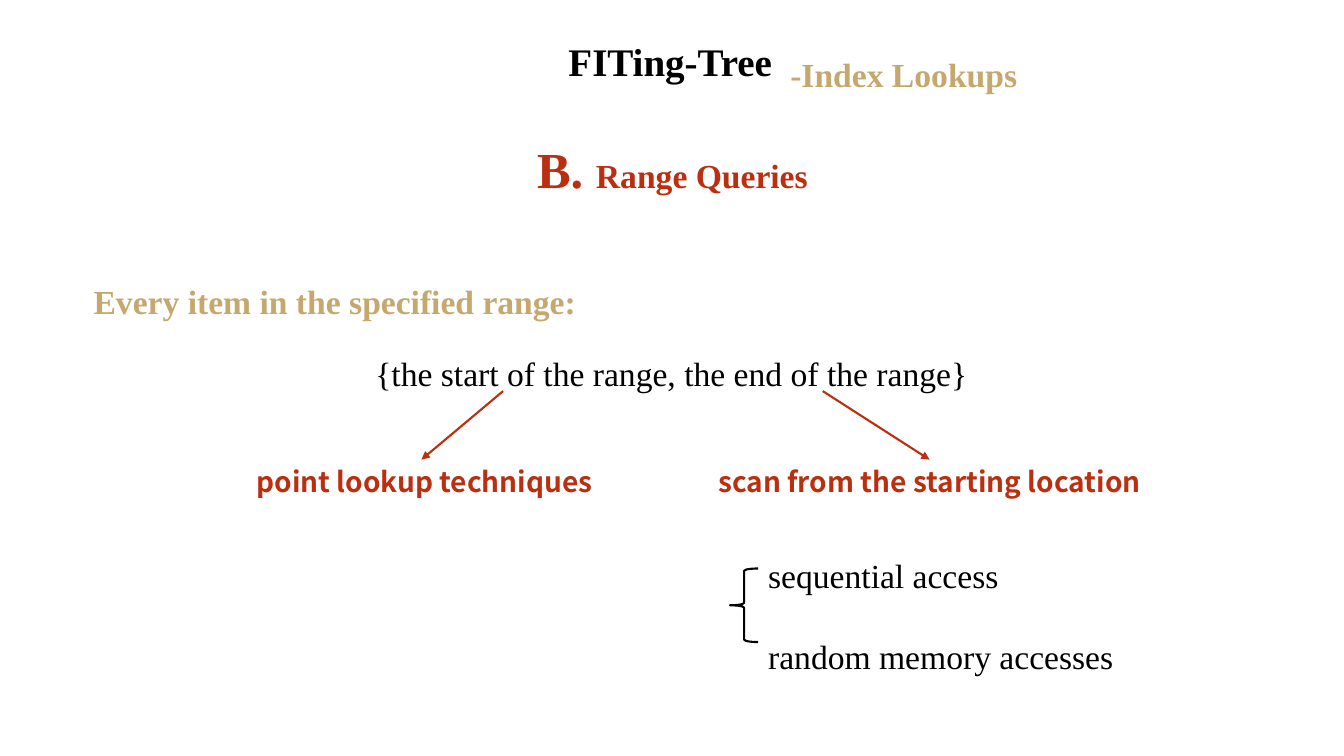
from dataclasses import dataclass

from lxml import etree
from pptx import Presentation
from pptx.dml.color import RGBColor
from pptx.enum.shapes import MSO_CONNECTOR, MSO_SHAPE
from pptx.enum.text import MSO_ANCHOR, MSO_AUTO_SIZE, PP_ALIGN
from pptx.oxml.ns import qn
from pptx.util import Inches, Pt

JUSTIFY = PP_ALIGN.JUSTIFY
CENTER = PP_ALIGN.CENTER
TOP = MSO_ANCHOR.TOP
FIT_TEXT = MSO_AUTO_SIZE.SHAPE_TO_FIT_TEXT
NO_FIT = MSO_AUTO_SIZE.NONE
STRAIGHT = MSO_CONNECTOR.STRAIGHT
LEFT_BRACE = MSO_SHAPE.LEFT_BRACE

SERIF = "Times New Roman"
SANS = "Noto Sans CJK SC"
BLACK = "000000"
GOLD = "C5A86D"
RED = "BA2F10"
LINE_WIDTH = 1.5
TOP_SIDE = 0


@dataclass(frozen=True)
class Box:
    left: float
    top: float
    width: float
    height: float

    def lengths(self):
        return [Inches(n) for n in (self.left, self.top, self.width, self.height)]


@dataclass(frozen=True)
class Technique:
    text: str
    box: Box
    arrow_start: float


RANGE_BOX = Box(3.48, 3.25, 6.36, 0.63)
TECHNIQUES = [
    Technique(" point lookup techniques", Box(2.3, 4.56, 3.76, 0.44), 4.99),
    Technique("scan from the starting location", Box(6.87, 4.56, 4.7, 0.44), 8.16),
]


def color(value: str) -> RGBColor:
    return RGBColor.from_string(value)


def add_run(paragraph, text: str, *, size: float, font: str, fill: str, bold: bool):
    run = paragraph.add_run()
    run.text = text
    run.font.size = Pt(size)
    run.font.name = font
    run.font.bold = bold
    run.font.color.rgb = color(fill)
    properties = run.font._element
    east_asian = etree.SubElement(properties, qn("a:ea"))
    east_asian.set("typeface", font)


def add_text(slide, box: Box, text: str, *, size: float = 24, font: str = SERIF,
             fill: str = BLACK, bold: bool = False, align=JUSTIFY,
             spacing: float = 1.0, auto_size=FIT_TEXT):
    shape = slide.shapes.add_textbox(*box.lengths())
    frame = shape.text_frame
    frame.word_wrap = True
    frame.auto_size = auto_size
    frame.vertical_anchor = TOP
    for index, line in enumerate(text.split("\n")):
        paragraph = frame.add_paragraph() if index else frame.paragraphs[0]
        paragraph.alignment = align
        paragraph.line_spacing = spacing
        add_run(paragraph, line, size=size, font=font, fill=fill, bold=bold)
    return shape


def add_arrow(slide, start_left: float, start_top: float, target):
    arrow = slide.shapes.add_connector(
        STRAIGHT, Inches(start_left), Inches(start_top), target.left, target.top)
    arrow.end_connect(target, TOP_SIDE)
    arrow.line.color.rgb = color(RED)
    arrow.line.width = Pt(LINE_WIDTH)
    line = arrow.line._get_or_add_ln()
    etree.SubElement(line, qn("a:tailEnd")).set("type", "triangle")
    etree.SubElement(arrow._element.spPr, qn("a:effectLst"))


def add_brace(slide, box: Box):
    brace = slide.shapes.add_shape(LEFT_BRACE, *box.lengths())
    brace.shadow.inherit = False
    brace.fill.background()
    brace.line.color.rgb = color(BLACK)
    brace.line.width = Pt(LINE_WIDTH)


def main():
    presentation = Presentation()
    presentation.slide_width = Inches(13.33)
    presentation.slide_height = Inches(7.5)
    slide = presentation.slides.add_slide(presentation.slide_layouts[6])

    add_text(slide, Box(5.54, 0.45, 2.26, 0.81), "FITing-Tree", size=27.9,
             bold=True, spacing=0.7, auto_size=NO_FIT)
    add_text(slide, Box(7.74, 0.53, 3.5, 0.54), "-Index Lookups", fill=GOLD,
             bold=True, spacing=0.9, auto_size=NO_FIT)

    heading = add_text(slide, Box(2.9, 1.32, 7.54, 0.71), "B. ", size=36,
                       fill=RED, bold=True, align=CENTER)
    add_run(heading.text_frame.paragraphs[0], "Range Queries", size=24,
            font=SERIF, fill=RED, bold=True)

    add_text(slide, Box(0.83, 2.74, 6.97, 0.5),
             "Every item in the specified range:", fill=GOLD, bold=True)
    add_text(slide, RANGE_BOX, "{the start of the range, the end of the range}",
             align=CENTER, spacing=1.5)

    for technique in TECHNIQUES:
        label = add_text(slide, technique.box, technique.text, size=20, font=SANS,
                         fill=RED, bold=True, align=CENTER)
        add_arrow(slide, technique.arrow_start, RANGE_BOX.top + RANGE_BOX.height, label)

    add_text(slide, Box(7.52, 5.06, 3.81, 1.59),
             "sequential access\nrandom memory accesses", spacing=2.0)
    add_brace(slide, Box(7.24, 5.64, 0.28, 0.73))

    presentation.save("out.pptx")


if __name__ == "__main__":
    main()
